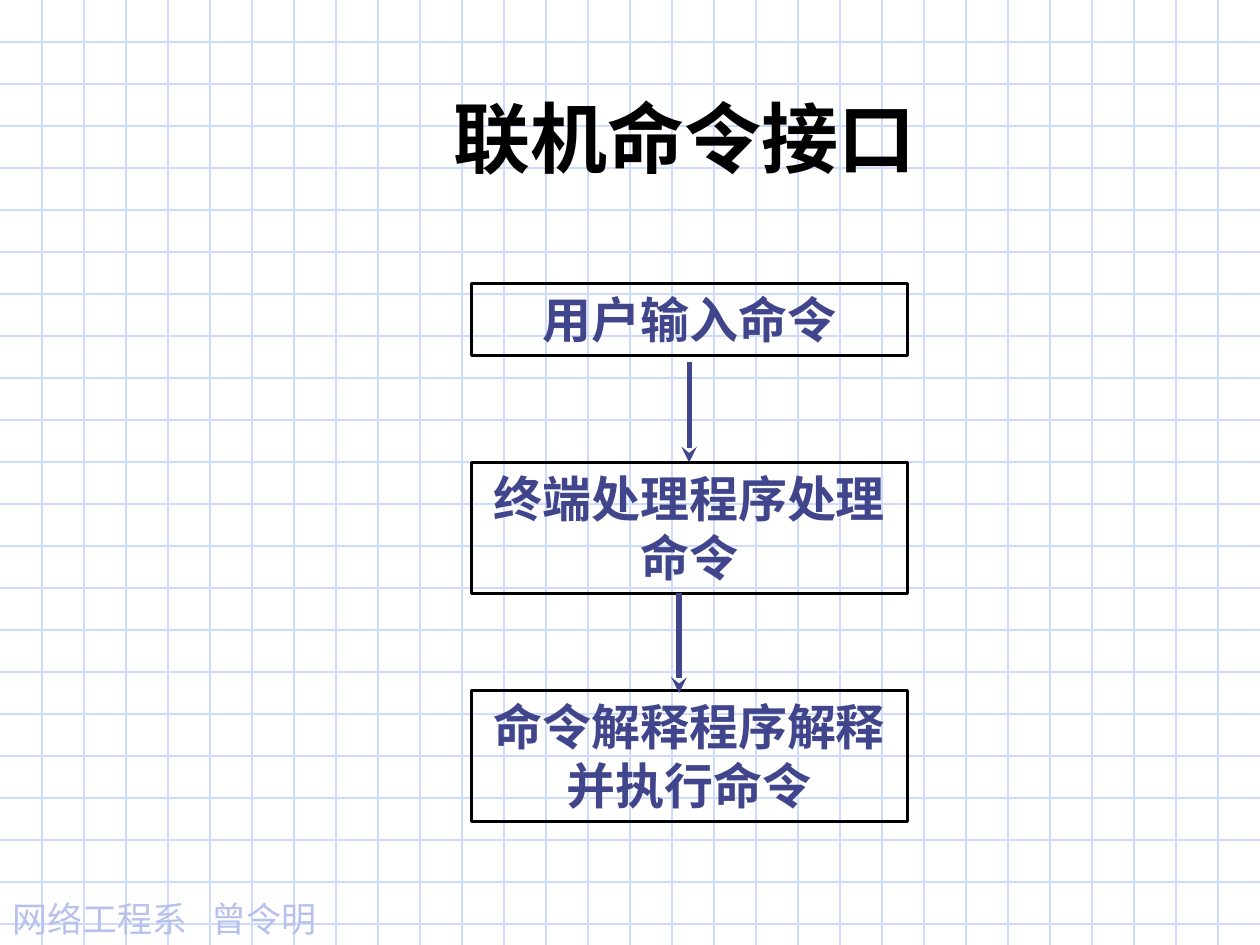
from lxml.etree import SubElement
from pptx import Presentation
from pptx.dml.color import RGBColor
from pptx.enum.shapes import MSO_CONNECTOR as Connector, MSO_SHAPE as Shape
from pptx.enum.text import MSO_ANCHOR as Anchor, PP_ALIGN as Align
from pptx.oxml.ns import qn
from pptx.util import Inches, Pt

WIDTH, HEIGHT = 10, 7.5


def rgb(value):
    return RGBColor.from_string(value)


class FlowSlide:
    face = "Cabin"
    ink, accent, grid_tint, footer_tint = "000000", "40458C", "CFDBFD", "B7C1EB"

    def __init__(self, deck):
        self.slide = deck.slides.add_slide(deck.slide_layouts[6])
        fill = self.slide.background.fill
        fill.solid()
        fill.fore_color.rgb = rgb("FFFFFF")

    def line(self, start, end, color, weight):
        points = [Inches(v) for v in (*start, *end)]
        line = self.slide.shapes.add_connector(Connector.STRAIGHT, *points)
        line.line.color.rgb = rgb(color)
        line.line.width = Pt(weight)
        SubElement(line._element.spPr, qn("a:effectLst"))
        return line

    def grid(self, step):
        for row in range(1, int(HEIGHT / step) + 1):
            self.line((0, row * step), (WIDTH, row * step), self.grid_tint, 0.75)
        for column in range(1, round(WIDTH / step)):
            self.line((column * step, 0), (column * step, HEIGHT), self.grid_tint, 0.75)

    def set_text(self, holder, text, color, align=Align.CENTER, tab=None, **formats):
        frame = holder.text_frame
        frame.word_wrap = True
        frame.vertical_anchor = Anchor.TOP
        paragraph = frame.paragraphs[0]
        paragraph.alignment = align
        if tab:
            stops = SubElement(paragraph._p.get_or_add_pPr(), qn("a:tabLst"))
            SubElement(stops, qn("a:tab"), pos=str(Inches(tab)), algn="l")
        run = paragraph.add_run()
        run.text = text
        run.font.color.rgb = rgb(color)
        for name, value in {"name": self.face, **formats}.items():
            setattr(run.font, name, value)
        SubElement(run._r.get_or_add_rPr(), qn("a:ea"), typeface=self.face)

    def label(self, bounds, text, color, **formats):
        box = self.slide.shapes.add_textbox(*[Inches(v) for v in bounds])
        self.set_text(box, text, color, **formats)

    def step(self, top, height, text):
        box = self.slide.shapes.add_shape(
            Shape.RECTANGLE, Inches(3.74), Inches(top), Inches(3.46), Inches(height))
        box.shadow.inherit = False
        box.fill.background()
        box.line.color.rgb = rgb(self.ink)
        box.line.width = Pt(1.75)
        self.set_text(box, text, self.accent, size=Pt(28), bold=True)
        return box

    def arrow(self, x, top, bottom):
        arrow = self.line((x, top), (x, bottom), self.accent, 3)
        SubElement(arrow.line._get_or_add_ln(), qn("a:tailEnd"), type="stealth")
        return arrow


def main():
    deck = Presentation()
    deck.slide_width, deck.slide_height = Inches(WIDTH), Inches(HEIGHT)
    flow = FlowSlide(deck)
    flow.grid(1 / 3)
    flow.label((0, 7.07, 2.67, 0.44), "网络工程系\t曾令明", flow.footer_tint,
               align=Align.LEFT, tab=1.58, size=Pt(20), name="Noto Sans CJK JP")
    flow.label((1.42, 0.67, 8.17, 0.84), "联机命令接口 ", flow.ink, size=Pt(44), bold=True)
    flow.step(2.25, 0.57, "用户输入命令")
    terminal = flow.step(3.67, 1.04, "终端处理程序处理命令")
    flow.step(5.48, 1.04, "命令解释程序解释并执行命令")
    flow.arrow(5.47, 2.87, 3.67).end_connect(terminal, 0)
    flow.arrow(5.39, 4.71, 5.5)
    deck.save("out.pptx")


if __name__ == "__main__":
    main()
